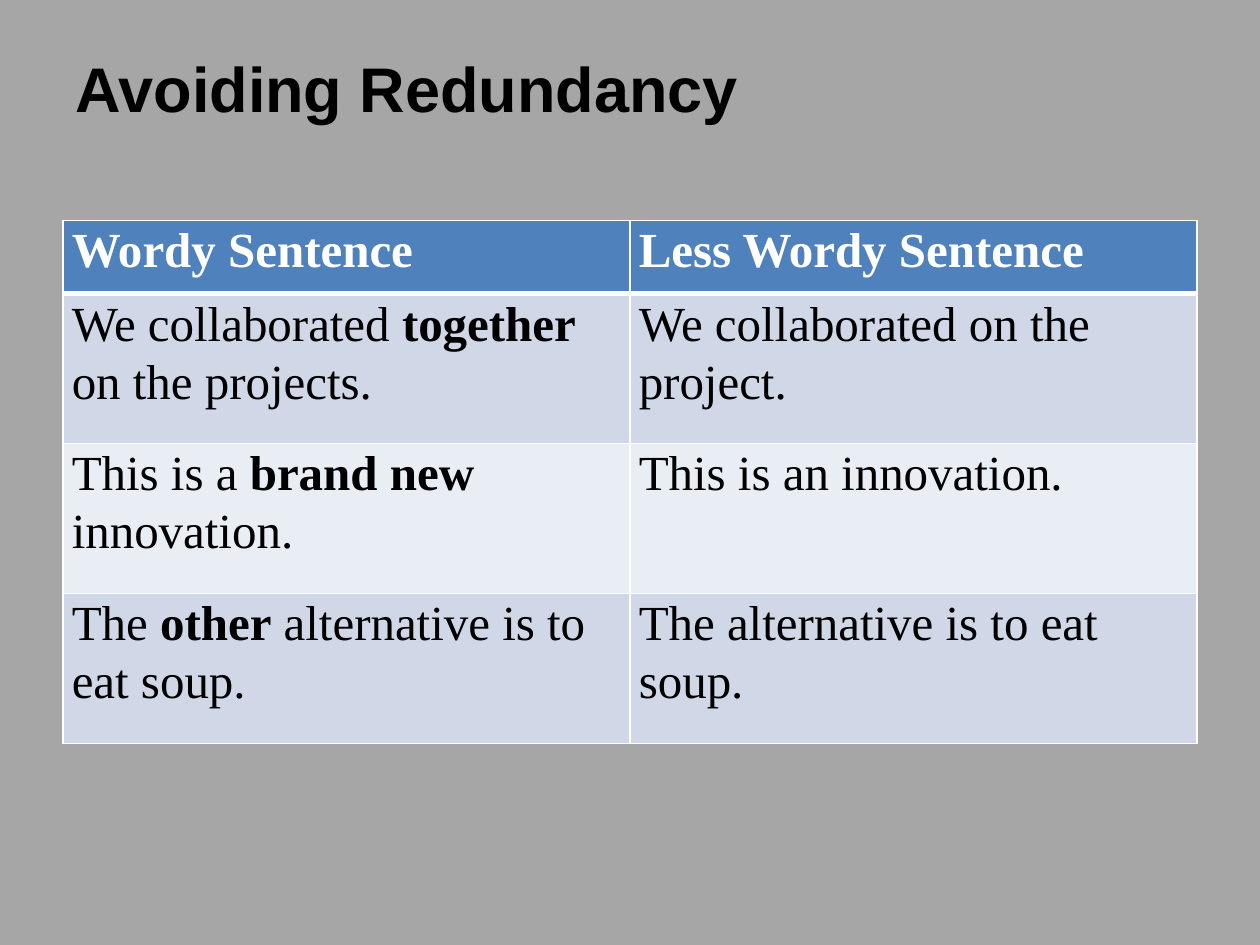
from lxml.etree import SubElement
from pptx import Presentation
from pptx.dml.color import RGBColor
from pptx.enum.text import MSO_ANCHOR, PP_ALIGN
from pptx.oxml.ns import qn
from pptx.util import Inches, Pt

theme = {
    "back": "A6A6A6", "ink": "000000", "white": "FFFFFF",
    "head": "4F81BD", "bands": ["D0D8E8", "E9EDF4"],
    "title": {"name": "Arial", "size": Pt(36), "bold": True},
    "body": {"name": "Times New Roman", "size": Pt(28)},
}

# One list per cell, one string per paragraph; asterisks enclose bold words
rows = [
    [["*Wordy Sentence *"], ["*Less Wordy Sentence*"]],
    [["We collaborated *together *", "on the projects."],
     ["We collaborated on the ", "project. "]],
    [["This is a *brand new *", "innovation. "], ["This is an innovation. "]],
    [["The *other* alternative is to ", "eat soup. "],
     ["The alternative is to eat ", "soup. "]],
]


def style(font, look, color):
    for key, value in look.items():
        setattr(font, key, value)
    font.color.rgb = RGBColor.from_string(color)


def border(cell, low):
    props = cell._tc.get_or_add_tcPr()
    for spot, (side, width) in enumerate([("L", 1), ("R", 1), ("T", 1), ("B", low)]):
        line = SubElement(props, qn("a:ln" + side), w=str(Pt(width)))
        fill = SubElement(line, qn("a:solidFill"))
        SubElement(fill, qn("a:srgbClr"), val=theme["white"])
        props.insert(spot, line)  # borders come before the cell fill


deck = Presentation()
deck.slide_width, deck.slide_height = Inches(10), Inches(7.5)
slide = deck.slides.add_slide(deck.slide_layouts[5])
slide.background.fill.solid()
slide.background.fill.fore_color.rgb = RGBColor.from_string(theme["back"])

# Title
title = slide.shapes.title
place = {"left": 0.5, "top": 0.3, "width": 9, "height": 0.78}
for key, value in place.items():
    setattr(title, key, Inches(value))
title.text = "Avoiding Redundancy"
title.text_frame.vertical_anchor = MSO_ANCHOR.MIDDLE
para = title.text_frame.paragraphs[0]
para.alignment = PP_ALIGN.LEFT
style(para.runs[0].font, theme["title"], theme["ink"])

# Table of sentence pairs
table = slide.shapes.add_table(
    len(rows), 2, Inches(0.5), Inches(1.75), Inches(9), Inches(4.15)).table
inset = {"margin_left": Inches(0.07), "margin_right": Inches(0.07),
         "margin_top": 0, "margin_bottom": 0}
for r, row in enumerate(rows):
    head = r == 0
    table.rows[r].height = Inches(0.58 if head else 1.19)
    shade = theme["head"] if head else theme["bands"][(r - 1) % 2]
    color = theme["white"] if head else theme["ink"]
    for c, lines in enumerate(row):
        cell = table.cell(r, c)
        for key, value in inset.items():
            setattr(cell, key, value)
        cell.fill.solid()
        cell.fill.fore_color.rgb = RGBColor.from_string(shade)
        border(cell, 3 if head else 1)
        frame = cell.text_frame
        for n, line in enumerate(lines):
            para = frame.add_paragraph() if n else frame.paragraphs[0]
            para.alignment = PP_ALIGN.JUSTIFY
            para.line_spacing = 1.07
            for i, part in enumerate(line.split("*")):
                if part:
                    run = para.add_run()
                    run.text = part
                    style(run.font, {**theme["body"], "bold": i % 2 == 1}, color)

deck.save("out.pptx")
